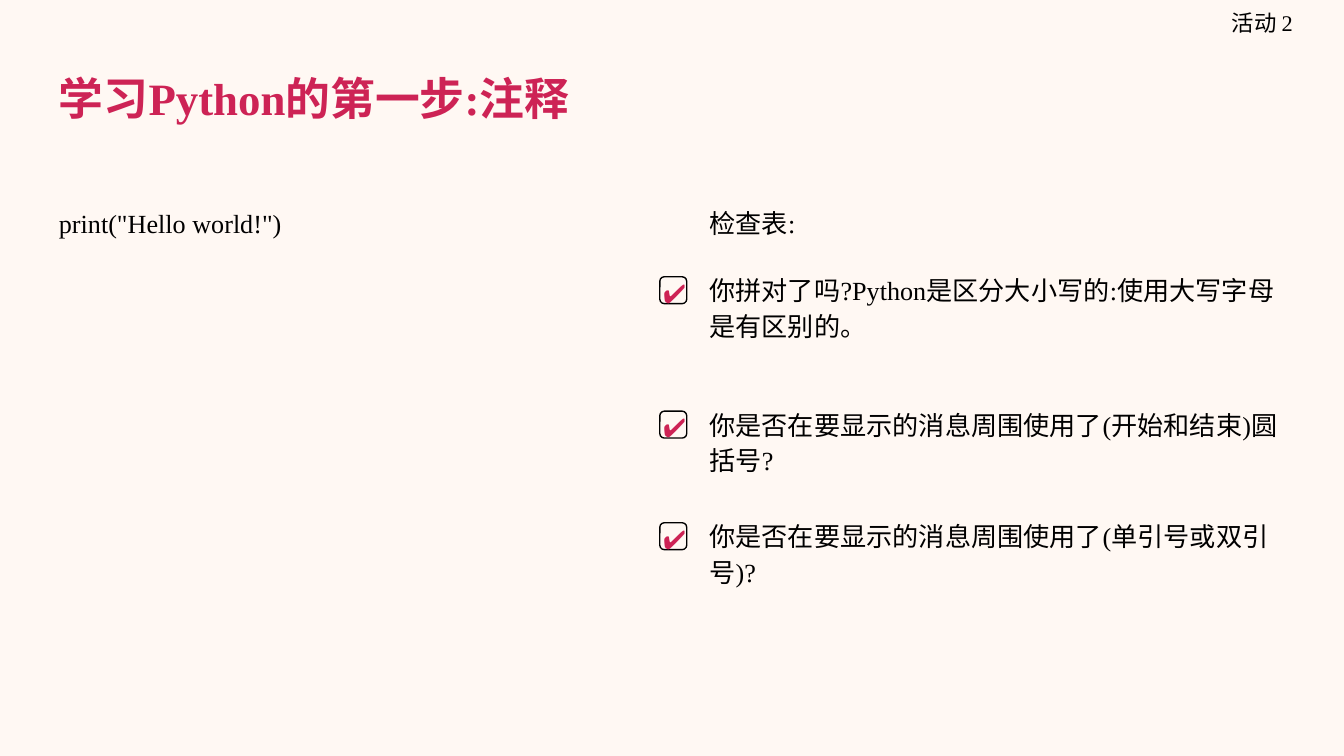
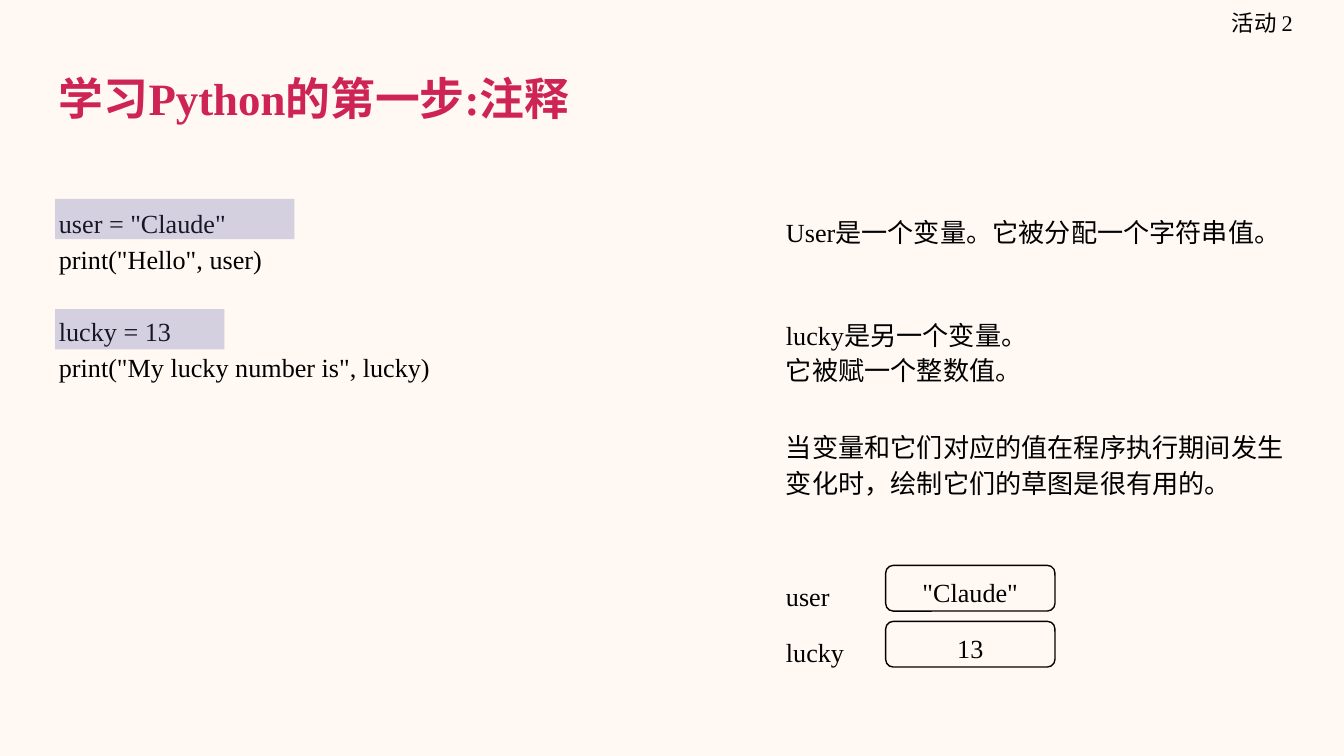
from lxml import etree
from pptx import Presentation
from pptx.dml.color import RGBColor
from pptx.enum.shapes import MSO_SHAPE
from pptx.enum.text import MSO_ANCHOR, PP_ALIGN
from pptx.oxml.ns import qn
from pptx.util import Pt

RECT, ROUNDED = MSO_SHAPE.RECTANGLE, MSO_SHAPE.ROUNDED_RECTANGLE
LEFT, CENTER, RIGHT = PP_ALIGN.LEFT, PP_ALIGN.CENTER, PP_ALIGN.RIGHT
TOP, MIDDLE = MSO_ANCHOR.TOP, MSO_ANCHOR.MIDDLE

CREAM = RGBColor(0xFF, 0xF8, 0xF3)
RASPBERRY = RGBColor(0xCD, 0x23, 0x55)
INDIGO = RGBColor(0x5B, 0x5B, 0xA5)
BLACK = RGBColor(0, 0, 0)
FONT = "Times New Roman"

ACTIVITY = "活动 2"
TITLE = "学习Python的第一步:注释"

HELLO_CODE = [["print(\"Hello world!\")"]]
CHECKLIST_HEADING = "检查表:"
CHECKLIST = [
    (137.5, 49.7, "你拼对了吗?Python是区分大小写的:使用大写字母是有区别的。"),
    (209.5, 70.6, "你是否在要显示的消息周围使用了(开始和结束)圆括号?"),
    (269.3, 70.6, "你是否在要显示的消息周围使用了(单引号或双引号)?"),
]

VARIABLE_CODE = [
    ["user = \"Claude\"", "print(\"Hello\", user)"],
    ["lucky = 13", "print(\"My lucky number is\", lucky)"],
]
HIGHLIGHTS = [(106.6, 128.2), (165.6, 90.7)]
VARIABLE_NOTES = [
    (106.6, 49, ["User是一个变量。它被分配一个字符串值。"]),
    (161.3, 49, ["lucky是另一个变量。", "它被赋一个整数值。"]),
    (221.8, 67.7, ["当变量和它们对应的值在程序执行期间发生变化时，绘制它们的草图是很有用的。"]),
]
VARIABLES = [("user", "\"Claude\""), ("lucky", "13")]

MARGIN = 24.5
CODE_TOP = 101.5
CODE_LINE = 19.3
CHECK_SIZE = 14.4
CHECK_LEFT = 353.5
CHECK_TEXT_LEFT, CHECK_TEXT_WIDTH = 373, 321.8
NOTE_LEFT, NOTE_WIDTH = 414, 280.8
SKETCH_TOP, SKETCH_PITCH = 301, 30

EVEN = (7.2, 7.2, 7.2, 7.2)
NARROW_RIGHT = (7.2, 7.2, 4.3, 7.2)
FLUSH_RIGHT = (7.2, 7.2, 0, 7.2)
VALUE_INSETS = (7.2, 1.4, 7.2, 0)
NO_INSETS = (0, 0, 0, 0)


def write(box, lines, size=14, color=BLACK, bold=False, insets=EVEN,
          anchor=TOP, align=LEFT, spacing=1.15, gaps=()):
    frame = box.text_frame
    sides = ("margin_left", "margin_top", "margin_right", "margin_bottom")
    frame_format = {"word_wrap": True, "vertical_anchor": anchor}
    frame_format.update(zip(sides, map(Pt, insets)))
    for name, value in frame_format.items():
        setattr(frame, name, value)
    for index, line in enumerate(lines):
        para = frame.paragraphs[0] if index == 0 else frame.add_paragraph()
        para.alignment = align
        para.line_spacing = spacing
        if index in gaps:
            para.space_before = Pt(CODE_LINE)
        span = para.add_run()
        span.text = line
        span.font.color.rgb = color
        for name, value in {"name": FONT, "size": Pt(size), "bold": bold}.items():
            setattr(span.font, name, value)


def add_text(page, place, lines, **style):
    box = page.shapes.add_textbox(*map(Pt, place))
    write(box, lines, **style)


def add_outline(page, place):
    box = page.shapes.add_shape(ROUNDED, *map(Pt, place))
    box.shadow.inherit = False
    box.fill.background()
    box.line.color.rgb = BLACK
    box.line.width = Pt(0.75)
    return box


def add_highlight(page, top, width):
    band = page.shapes.add_shape(RECT, Pt(29.5), Pt(top), Pt(width), Pt(21.6))
    band.shadow.inherit = False
    band.line.fill.background()
    band.fill.solid()
    band.fill.fore_color.rgb = INDIGO
    color = band.fill._xPr.find(qn("a:solidFill")).find(qn("a:srgbClr"))
    etree.SubElement(color, qn("a:alpha"), val="25000")


def add_page(deck, code, code_height):
    page = deck.slides.add_slide(deck.slide_layouts[6])
    page.background.fill.solid()
    page.background.fill.fore_color.rgb = CREAM
    add_text(page, (MARGIN, MARGIN, 671, 55.4), [TITLE], size=24,
             color=RASPBERRY, bold=True, anchor=MIDDLE, spacing=1.0)
    add_text(page, (538.6, 0, 154, 24.5), [ACTIVITY], size=12,
             insets=FLUSH_RIGHT, anchor=MIDDLE, align=RIGHT, spacing=1.0)
    lines, gaps = [], []
    for block in code:
        if lines:
            gaps.append(len(lines))
        lines += block
    add_text(page, (MARGIN, CODE_TOP, 348.5, code_height), lines, gaps=gaps)
    return page


def add_checklist_page(deck):
    page = add_page(deck, HELLO_CODE, 31)
    style = {"insets": NARROW_RIGHT, "spacing": 1.14}
    add_text(page, (CHECK_TEXT_LEFT, CODE_TOP, CHECK_TEXT_WIDTH, 29.5),
             [CHECKLIST_HEADING], **style)
    for top, height, question in CHECKLIST:
        add_text(page, (CHECK_TEXT_LEFT, top, CHECK_TEXT_WIDTH, height),
                 [question], **style)
        add_outline(page, (CHECK_LEFT, top + 10.8, CHECK_SIZE, CHECK_SIZE))
        add_text(page, (CHECK_LEFT + 0.7, top + 8.6, CHECK_SIZE, CHECK_SIZE),
                 ["✔"], color=RASPBERRY, insets=NO_INSETS, align=CENTER,
                 spacing=1.14)


def add_variables_page(deck):
    page = add_page(deck, VARIABLE_CODE, 113)
    for top, width in HIGHLIGHTS:
        add_highlight(page, top, width)
    for top, height, lines in VARIABLE_NOTES:
        add_text(page, (NOTE_LEFT, top, NOTE_WIDTH, height), lines,
                 insets=NARROW_RIGHT, spacing=1.14)
    for row, (name, value) in enumerate(VARIABLES):
        top = SKETCH_TOP + row * SKETCH_PITCH
        add_text(page, (NOTE_LEFT, top, 57.6, 28.8), [name])
        box = add_outline(page, (474.5, top + 1.9, 90.7, 24.5))
        write(box, [value], insets=VALUE_INSETS, anchor=MIDDLE, align=CENTER)


def main():
    deck = Presentation()
    deck.slide_width, deck.slide_height = Pt(720), Pt(405)
    add_checklist_page(deck)
    add_variables_page(deck)
    deck.save("out.pptx")


if __name__ == "__main__":
    main()
